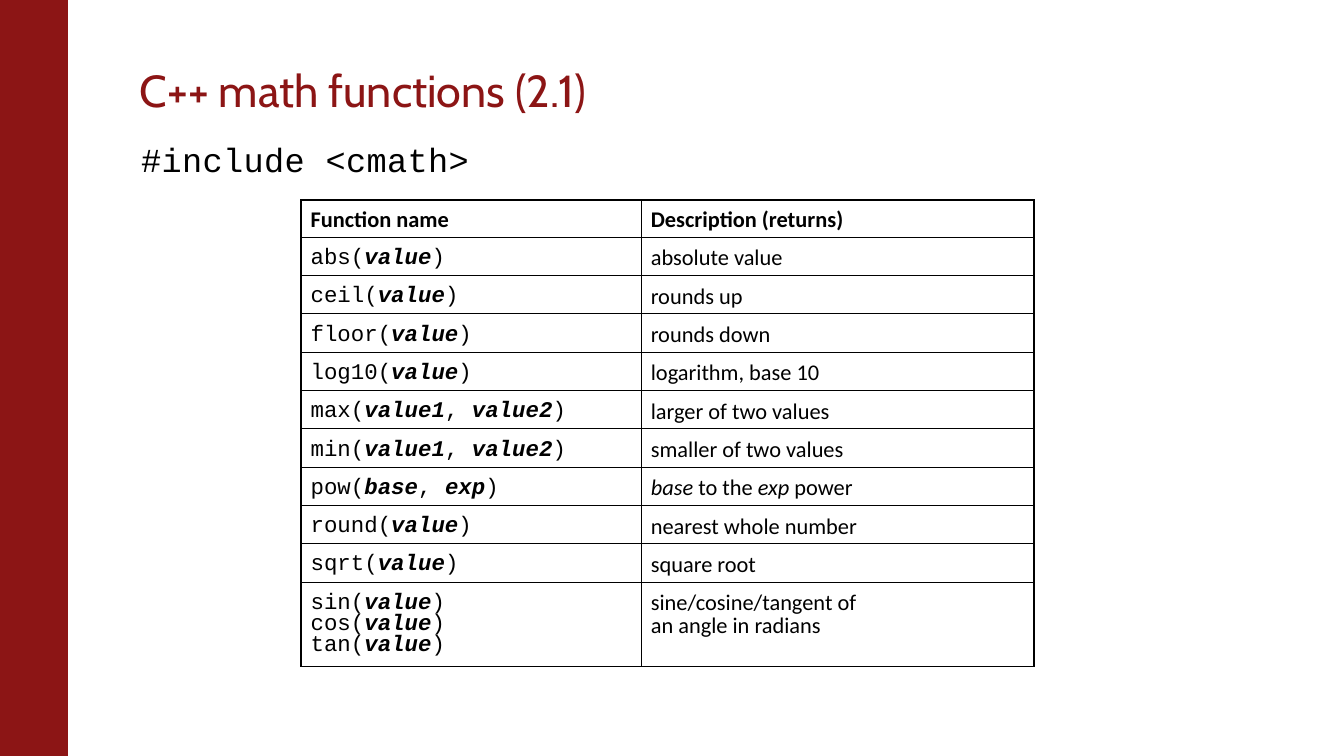
import copy
from dataclasses import dataclass

import lxml.etree
import pptx
import pptx.dml.color
import pptx.enum.shapes
import pptx.enum.text
import pptx.oxml.ns
import pptx.util
from pptx.util import Cm


@dataclass(frozen=True)
class Theme:
    """Colours, fonts, type sizes and line widths of the slide."""
    accent: str = "8C1515"
    ink: str = "000000"
    paper: str = "FFFFFF"
    heading_font: str = "Cabin"
    prose_font: str = "Calibri"
    code_font: str = "Courier New"
    heading_size: float = 24
    include_size: float = 18
    table_size: float = 12
    outer_line: float = 1.08
    inner_line: float = 0.45


@dataclass(frozen=True)
class MathFunction:
    """A table row: calls and meaning, with asterisks around emphasised words."""
    call: str
    meaning: str
    height: float = 0.724


THEME = Theme()
COLUMN_WIDTHS = (6.43, 7.42)
HEADINGS = MathFunction("Function name", "Description (returns)", 0.69)
FUNCTIONS = (
    MathFunction("abs(*value*)", "absolute value"),
    MathFunction("ceil(*value*)", "rounds up"),
    MathFunction("floor(*value*)", "rounds down"),
    MathFunction("log10(*value*)", "logarithm, base 10"),
    MathFunction("max(*value1*, *value2*)", "larger of two values"),
    MathFunction("min(*value1*, *value2*)", "smaller of two values"),
    MathFunction("pow(*base*, *exp*)", "*base* to the *exp* power"),
    MathFunction("round(*value*)", "nearest whole number"),
    MathFunction("sqrt(*value*)", "square root"),
    MathFunction("sin(*value*)\ncos(*value*)\ntan(*value*)",
                 "sine/cosine/tangent of\nan angle in radians", 1.6),
)


def rgb(color: str) -> pptx.dml.color.RGBColor:
    """Turn a hex string into a colour."""
    return pptx.dml.color.RGBColor.from_string(color)


def write(frame, text: str, *, font: str, size: float, color: str = THEME.ink,
          bold: bool = False, bold_emphasis: bool = False, spacing: float = 1,
          before: float = 0, tracking: int = 0) -> None:
    """Write one formatted paragraph, with italics between asterisks."""
    paragraph = frame.paragraphs[0]
    paragraph.alignment = pptx.enum.text.PP_ALIGN.LEFT
    paragraph.line_spacing = spacing
    paragraph.space_before = pptx.util.Pt(before)
    for part, words in enumerate(text.split("*")):
        emphasised = part % 2 == 1
        for line, piece in enumerate(words.split("\n")):
            if line:
                paragraph.add_line_break()
                paragraph._p[-1].append(copy.deepcopy(run._r.rPr))
            if not piece:
                continue
            run = paragraph.add_run()
            run.text = piece
            run.font.name = font
            run.font.size = pptx.util.Pt(size)
            run.font.color.rgb = rgb(color)
            run.font.bold = bold or (emphasised and bold_emphasis)
            run.font.italic = emphasised
            if tracking:
                run._r.get_or_add_rPr().set("spc", str(tracking))


def set_border(cell, side: str, width: float) -> None:
    """Draw one side of a table cell."""
    border = lxml.etree.SubElement(cell._tc.get_or_add_tcPr(), pptx.oxml.ns.qn(f"a:ln{side}"),
                                   w=str(pptx.util.Pt(width)))
    fill = lxml.etree.SubElement(border, pptx.oxml.ns.qn("a:solidFill"))
    lxml.etree.SubElement(fill, pptx.oxml.ns.qn("a:srgbClr"), val=THEME.ink)


def draw_sidebar(slide, height: int) -> None:
    """Draw the coloured band along the left edge."""
    sidebar = slide.shapes.add_shape(pptx.enum.shapes.MSO_SHAPE.RECTANGLE, 0, 0, Cm(1.27), height)
    sidebar.shadow.inherit = False
    sidebar.fill.solid()
    sidebar.fill.fore_color.rgb = rgb(THEME.accent)
    sidebar.line.color.rgb = rgb(THEME.accent)
    sidebar.line.width = pptx.util.Pt(0.75)


def draw_heading(slide, text: str) -> None:
    """Place and write the slide title."""
    heading = slide.shapes.title
    heading.left, heading.top, heading.width, heading.height = Cm(2.64), Cm(0.99), Cm(21.41), Cm(1.35)
    frame = heading.text_frame
    frame.margin_left = 0
    frame.auto_size = pptx.enum.text.MSO_AUTO_SIZE.NONE
    frame.vertical_anchor = pptx.enum.text.MSO_ANCHOR.BOTTOM
    write(frame, text, font=THEME.heading_font, size=THEME.heading_size,
          color=THEME.accent, spacing=0.85)


def draw_include(slide, text: str) -> None:
    """Write the header line that the functions need."""
    include = slide.shapes.add_textbox(Cm(2.67), Cm(2.51), Cm(21.39), Cm(11.76))
    frame = include.text_frame
    frame.word_wrap = True
    frame.margin_left = frame.margin_right = 0
    write(frame, text, font=THEME.code_font, size=THEME.include_size, before=3.6, tracking=20)


def draw_functions(slide, rows: tuple[MathFunction, ...]) -> None:
    """Draw the table of functions under its headings."""
    last_row, last_column = len(rows) - 1, len(COLUMN_WIDTHS) - 1
    table = slide.shapes.add_table(len(rows), len(COLUMN_WIDTHS), Cm(5.69), Cm(3.78),
                                   Cm(sum(COLUMN_WIDTHS)), Cm(sum(row.height for row in rows))).table
    table.first_row = table.horz_banding = False
    for column, width in zip(table.columns, COLUMN_WIDTHS):
        column.width = Cm(width)
    for r, row in enumerate(rows):
        table.rows[r].height = Cm(row.height)
        for c, text in enumerate((row.call, row.meaning)):
            cell = table.cell(r, c)
            edges = {"L": c == 0, "R": c == last_column, "T": r == 0, "B": r == last_row}
            for side, outer in edges.items():
                set_border(cell, side, THEME.outer_line if outer else THEME.inner_line)
            cell.fill.solid()
            cell.fill.fore_color.rgb = rgb(THEME.paper)
            cell.margin_left = cell.margin_right = Cm(0.18)
            cell.margin_top = Cm(0.18 if r == 0 else 0.2)
            cell.margin_bottom = Cm(0.1)
            is_code = r > 0 and c == 0
            write(cell.text_frame, text, font=THEME.code_font if is_code else THEME.prose_font,
                  size=THEME.table_size, bold=r == 0, bold_emphasis=is_code,
                  spacing=0.83, before=4)


def main() -> None:
    """Build and save the slide."""
    deck = pptx.Presentation()
    deck.slide_width, deck.slide_height = Cm(25.4), Cm(14.29)
    slide = deck.slides.add_slide(deck.slide_layouts[5])
    draw_sidebar(slide, deck.slide_height)
    draw_heading(slide, "C++ math functions (2.1)")
    draw_include(slide, "#include <cmath>")
    draw_functions(slide, (HEADINGS, *FUNCTIONS))
    deck.save("out.pptx")


if __name__ == "__main__":
    main()
